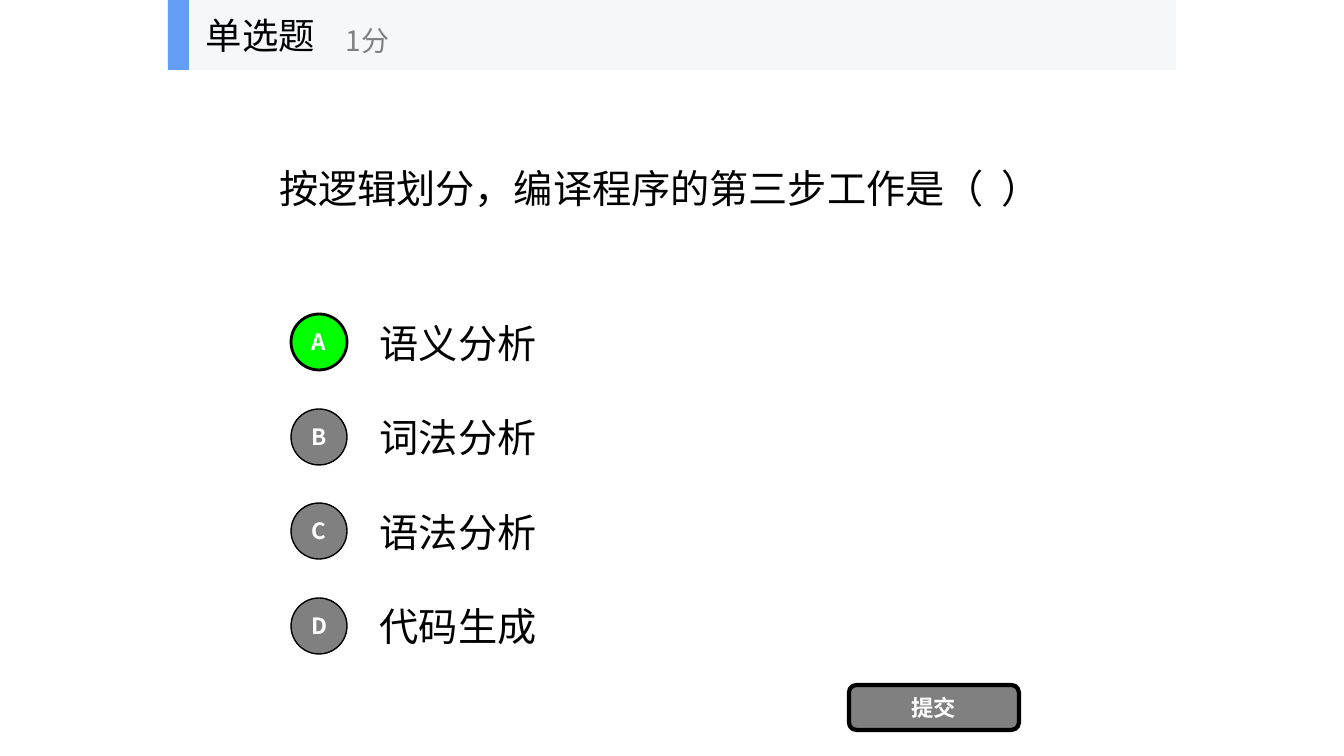
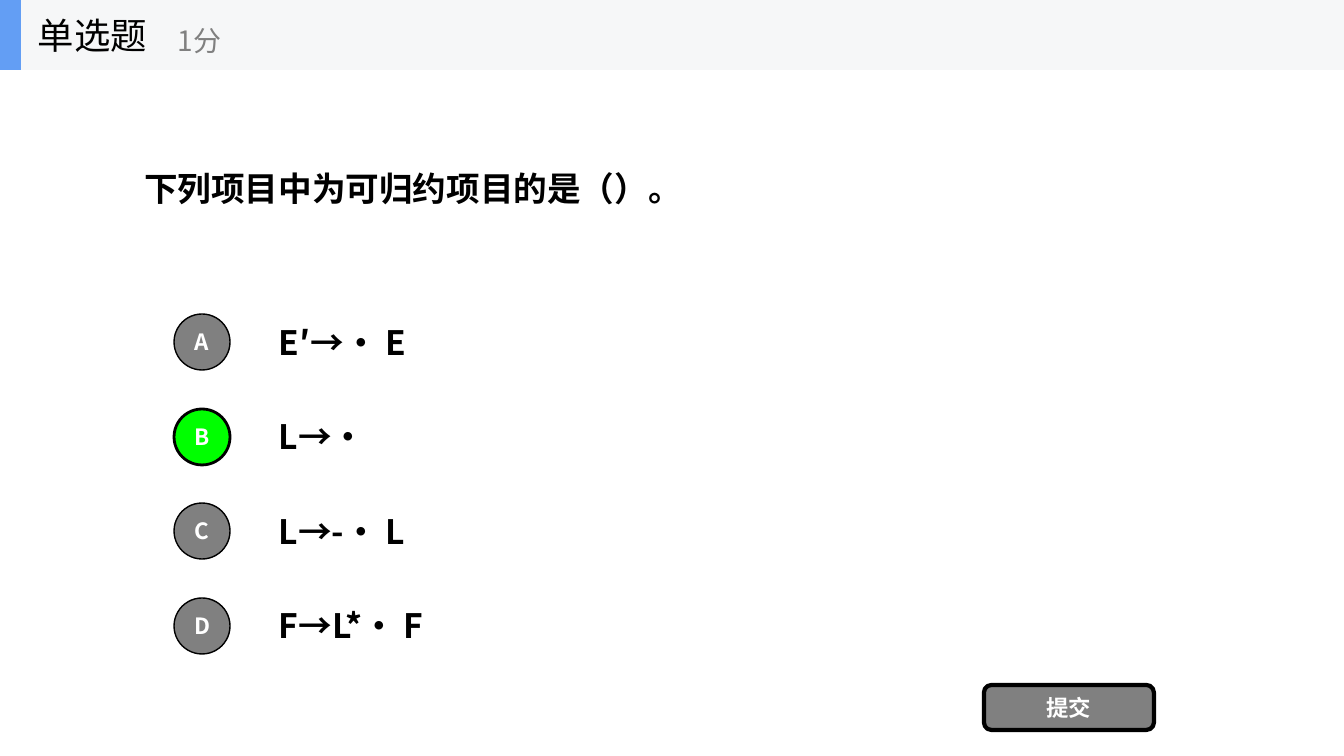
from pptx import Presentation
from pptx.dml.color import RGBColor
from pptx.enum.shapes import MSO_SHAPE
from pptx.enum.text import MSO_ANCHOR, MSO_AUTO_SIZE, PP_ALIGN
from pptx.oxml.ns import qn
from pptx.util import Pt
from lxml.etree import SubElement

EMU_PER_PX = 9071.43
SLIDE_W, SLIDE_H = 1344, 756
FONT = "Noto Sans CJK SC"
COLORS = {
    "ink": "000000",
    "paper": "FFFFFF",
    "gray": "808080",
    "correct": "00FF00",
    "band": "F6F7F8",
    "accent": "639EF4",
}

# Vertical rhythm shared by both slides
HEADER_H = 70
QUESTION_H = 236
OPTIONS_TOP, OPTION_H, OPTION_STEP = 307, 71, 94.4
BADGE = 56
SUBMIT_TOP, SUBMIT_W, SUBMIT_H, SUBMIT_INSET = 685, 170, 45, 56


def px(length):
    return round(round(length) * EMU_PER_PX)


def color(name):
    return RGBColor.from_string(COLORS[name])


def write(shape, text, size=28, ink="ink", bold=False, font=FONT,
          align=PP_ALIGN.LEFT):
    """Put one formatted line of text into a shape, centred vertically."""
    frame = shape.text_frame
    frame.word_wrap = True
    frame.auto_size = MSO_AUTO_SIZE.NONE
    frame.vertical_anchor = MSO_ANCHOR.MIDDLE
    paragraph = frame.paragraphs[0]
    paragraph.alignment = align
    run = paragraph.add_run()
    run.text = text
    run.font.size = Pt(size)
    run.font.bold = bold
    run.font.name = font
    run.font.color.rgb = color(ink)
    SubElement(run.font._element, qn("a:ea")).set("typeface", FONT)


class Quiz:
    """Holds the style, the presentation and the current slide."""

    def __init__(self):
        self.deck = Presentation()
        self.deck.slide_width = px(SLIDE_W)
        self.deck.slide_height = px(SLIDE_H)

    def new_slide(self, left, width):
        self.slide = self.deck.slides.add_slide(self.deck.slide_layouts[5])
        self.left, self.width = left, width

    def across(self, share):
        return self.left + share * self.width

    def shape(self, kind, x, y, w, h, fill, line=0):
        shape = self.slide.shapes.add_shape(kind, px(x), px(y), px(w), px(h))
        shape.shadow.inherit = False
        shape.fill.solid()
        shape.fill.fore_color.rgb = color(fill)
        if line:
            shape.line.color.rgb = color("ink")
            shape.line.width = Pt(line)
        else:
            shape.line.fill.background()
        return shape

    def label(self, text, x, y, w, h, **style):
        box = self.slide.shapes.add_textbox(px(x), px(y), px(w), px(h))
        write(box, text, **style)

    def button(self, text, kind, x, y, w, h, fill, line):
        button = self.shape(kind, x, y, w, h, fill, line)
        write(button, text, size=16, ink="paper", bold=True,
              align=PP_ALIGN.CENTER)
        frame = button.text_frame
        frame.margin_left = frame.margin_right = 0

    def header(self, kind, score):
        for width, fill in ((self.width, "band"), (21, "accent")):
            self.shape(MSO_SHAPE.RECTANGLE, self.left, 0, width, HEADER_H, fill)
        self.label(kind, self.left + 28, 0, 210, HEADER_H, size=26)
        self.label(score, self.left + 168, 12, 252, 57, size=20, ink="gray")

    def question(self, text, **style):
        title = self.slide.shapes.title
        title.left, title.top = px(self.across(0.1)), px(HEADER_H)
        title.width, title.height = px(0.8 * self.width), px(QUESTION_H)
        write(title, text, **style)

    def options(self, texts, answer, **style):
        for row, (letter, text) in enumerate(zip("ABCD", texts)):
            top = OPTIONS_TOP + row * OPTION_STEP
            self.label(text, self.across(0.2), top, 0.7 * self.width,
                       OPTION_H, **style)
            fill, line = ("correct", 2) if letter == answer else ("gray", 1)
            self.button(letter, MSO_SHAPE.OVAL,
                        self.across(0.15) - BADGE / 2,
                        top + (OPTION_H - BADGE) / 2,
                        BADGE, BADGE, fill, line)

    def submit(self, text):
        x = self.across(0.9) - SUBMIT_INSET - SUBMIT_W
        self.button(text, MSO_SHAPE.ROUNDED_RECTANGLE, x, SUBMIT_TOP,
                    SUBMIT_W, SUBMIT_H, "gray", 3)

    def single_choice(self, question, options, answer, left=0,
                      width=SLIDE_W, question_font=FONT, **style):
        self.new_slide(left, width)
        self.question(question, font=question_font, **style)
        self.options(options, answer, **style)
        self.submit("提交")
        self.header("单选题", "1分")


def main():
    quiz = Quiz()

    # Phases of a compiler, on a narrower 4:3 area
    quiz.single_choice(
        "按逻辑划分，编译程序的第三步工作是（  ）",
        ["语义分析", "词法分析", "语法分析", "代码生成"],
        answer="A", left=168, width=1008)

    # Reducible items, on the full width
    quiz.single_choice(
        "下列项目中为可归约项目的是（）。",
        ["E′→· E", "L→·", "L→-· L", "F→L*· F"],
        answer="B", question_font="Calibri", size=24, bold=True)

    quiz.deck.save("out.pptx")


if __name__ == "__main__":
    main()
